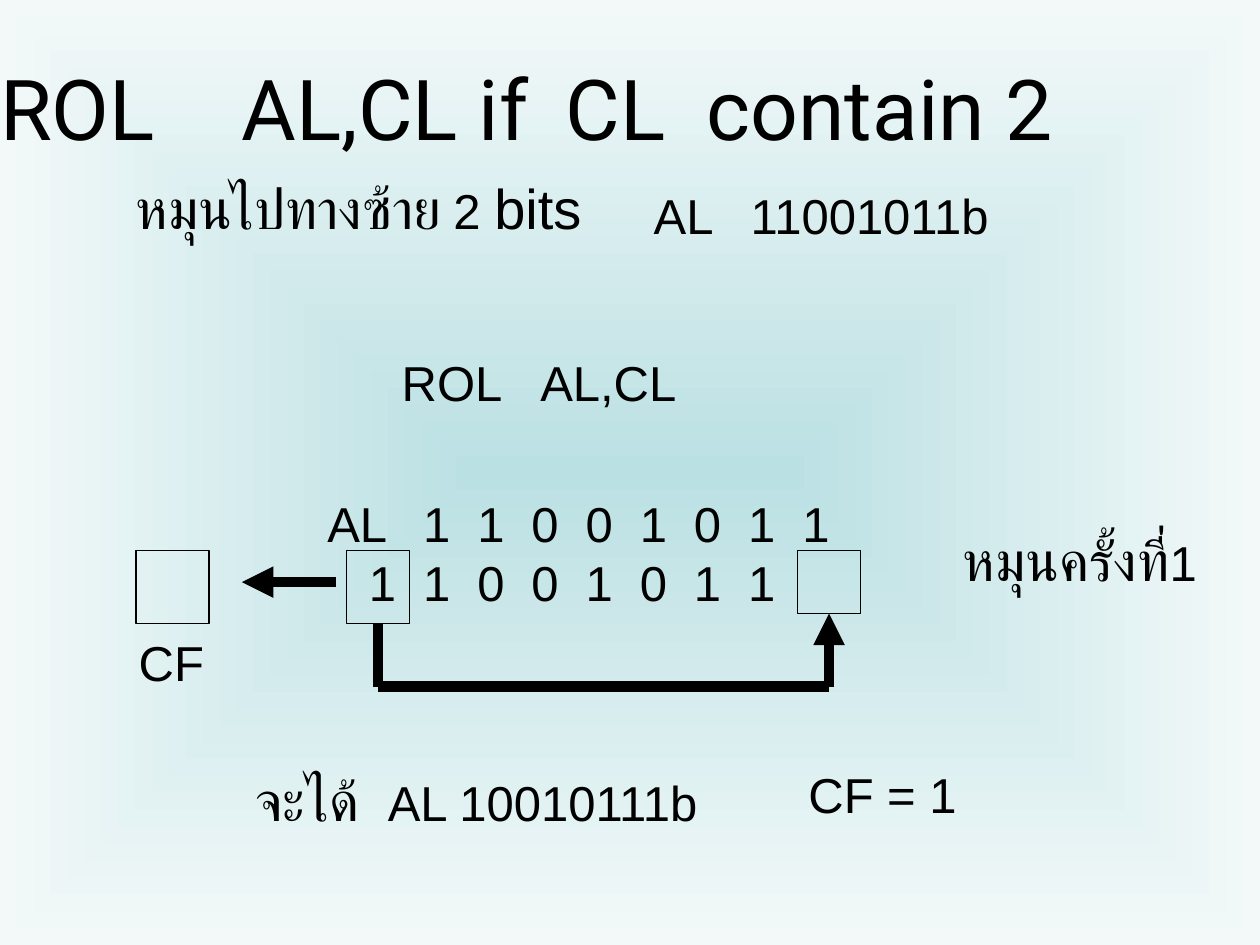
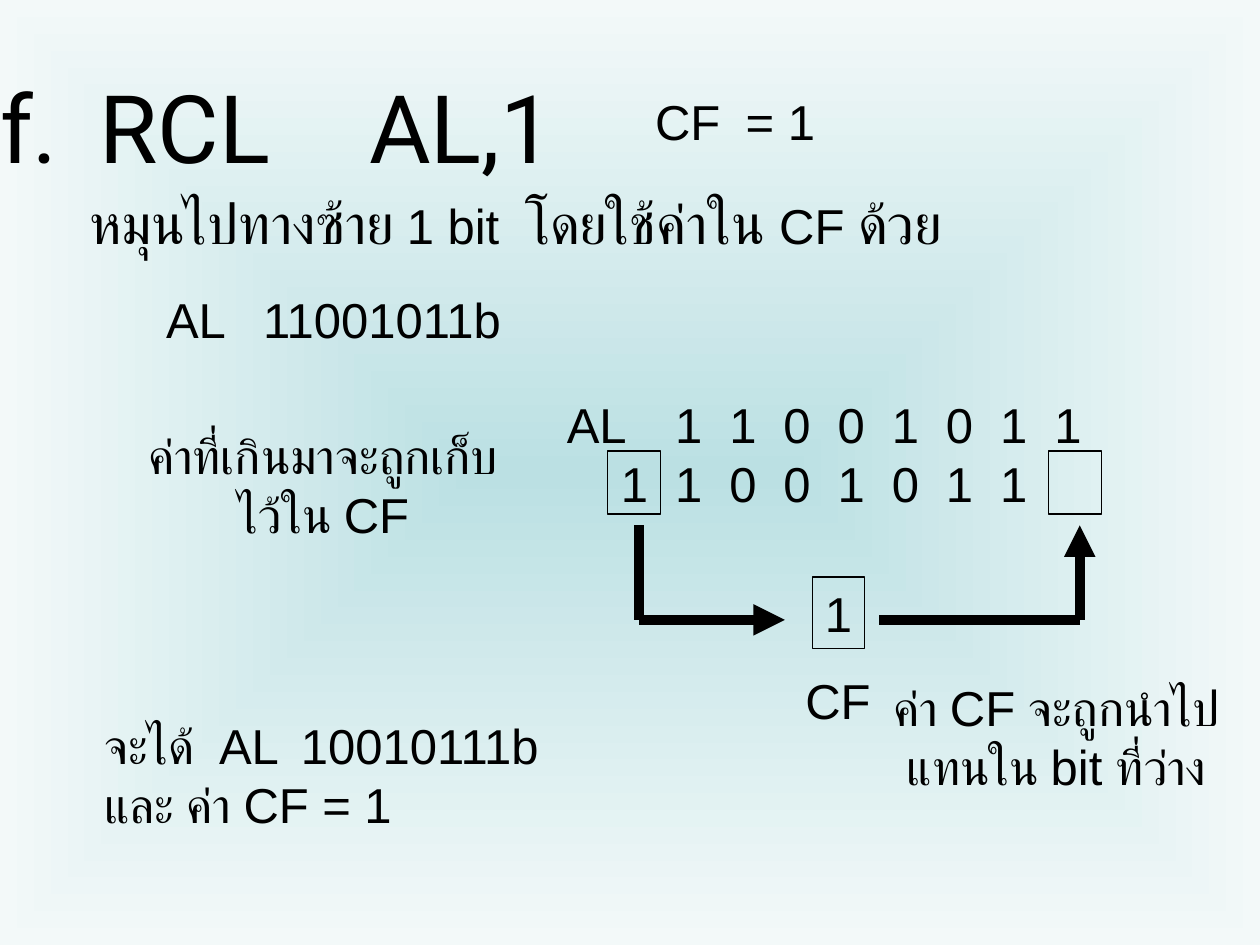
from lxml import etree
from pptx import Presentation
from pptx.dml.color import RGBColor
from pptx.enum.shapes import MSO_CONNECTOR, MSO_SHAPE
from pptx.enum.text import MSO_ANCHOR, MSO_AUTO_SIZE, PP_ALIGN
from pptx.oxml.ns import qn
from pptx.util import Inches, Pt

LEFT, MID = PP_ALIGN.LEFT, PP_ALIGN.CENTER
TOP, FIXED = MSO_ANCHOR.TOP, MSO_AUTO_SIZE.NONE
RECT, LINE = MSO_SHAPE.RECTANGLE, MSO_CONNECTOR.STRAIGHT
HUES = {"ink": "000000", "core": "BBE0E3", "edge": "F3F9F9"}
INK = RGBColor.from_string(HUES["ink"])
PITCH = 0.43


def write(shape, text, size=28, face="Arial", align=LEFT, tabs=()):
    frame = shape.text_frame
    frame.auto_size = FIXED
    frame.vertical_anchor = TOP
    frame.word_wrap = align == LEFT
    if align == LEFT:
        frame.margin_right = 0
    for i, row in enumerate(text):
        para = frame.paragraphs[0] if i == 0 else frame.add_paragraph()
        para.alignment = align
        if tabs:
            stops = etree.SubElement(para._p.get_or_add_pPr(), qn("a:tabLst"))
            for stop in tabs:
                etree.SubElement(stops, qn("a:tab"), pos=str(Inches(stop)), algn="l")
        for part in [(row, size)] if isinstance(row, str) else row:
            run = para.add_run()
            run.text = part[0]
            run.font.size = Pt(part[1])
            run.font.name = face
            run.font.color.rgb = INK


def wire(slide, start, end, tip=False):
    link = slide.shapes.add_connector(LINE, *map(Inches, start + end))
    link.line.color.rgb = INK
    link.line.width = Pt(6)
    if tip:
        etree.SubElement(link.line._get_or_add_ln(), qn("a:tailEnd"), type="triangle")
    etree.SubElement(link._element.spPr, qn("a:effectLst"))
    return link


deck = Presentation()
deck.slide_width, deck.slide_height = Inches(10), Inches(7.5)
master = deck.slide_master
fill = master.background.fill
fill.gradient()
for stop, hue in zip(fill.gradient_stops, ("core", "edge")):
    stop.color.rgb = RGBColor.from_string(HUES[hue])
grad = master.element.find(".//" + qn("a:gradFill"))
grad.remove(grad.find(qn("a:lin")))
path = etree.SubElement(grad, qn("a:path"), path="rect")
etree.SubElement(path, qn("a:fillToRect"), l="50000", t="50000", r="50000", b="50000")

bits = "\t".join("11001011")
rows = [f"AL\t{bits}", f"\t{bits}"]
pages = [
    {
        "title": ("ROL\tAL,CL if\tCL\tcontain 2", 48, (-0.1, 0.4, 8.67, 0.9), (1.92, 4.49, 5.61)),
        "boxes": [(6.33, 4.37, 0.5, 0.5), (2.75, 4.37, 0.5, 0.58), (1.08, 4.37, 0.58, 0.58)],
        "texts": [
            ((5.09, 1.42, 2.94, 0.57), ["AL\t11001011b"], LEFT, [0.77]),
            ((2.5, 3.87, 4.23, 1.04), rows, LEFT, [0.33 + PITCH * i for i in range(9)]),
            ((1, 4.97, 0.72, 0.57), ["CF"], MID, []),
            ((7.54, 4.12, 2.06, 0.64), [[("หมุนครั้งที่", 32), ("1", 28)]], MID, []),
            ((1.93, 6.03, 3.75, 0.64), [[("จะได้", 32), ("\tAL 10010111b", 28)]], LEFT, [1.05]),
            ((6.32, 6.02, 1.37, 0.57), ["CF = 1"], MID, []),
            ((0.98, 1.33, 3.75, 0.64), [[("หมุนไปทางซ้าย", 32), (" 2 ", 28), ("bits", 32)]], LEFT, []),
            ((3.09, 2.75, 2.4, 0.57), ["ROL\tAL,CL"], LEFT, [1.1]),
        ],
        "wires": [
            ((2.67, 4.62), (1.92, 4.62), True),
            ((3, 4.95), (3, 5.45), False),
            ((3, 5.45), (6.58, 5.45), False),
            ((6.58, 5.45), (6.58, 4.87), True),
        ],
    },
    {
        "title": ("f.\tRCL\tAL,1", 54, (-0.1, 0.5, 4.81, 1), (0.79, 2.93)),
        "boxes": [(4.82, 3.58, 0.42, 0.5), (8.32, 3.58, 0.42, 0.5), (6.45, 4.58, 0.41, 0.57)],
        "texts": [
            ((0.61, 1.45, 7.02, 0.64),
             [[("หมุนไปทางซ้าย", 32), (" 1 bit\t", 28), ("โดยใช้ค่าใน ", 32), ("CF ", 28), ("ด้วย", 32)]],
             LEFT, [3.46]),
            ((5.1, 0.68, 1.48, 0.57), ["CF\t= 1"], LEFT, [0.72]),
            ((1.22, 2.25, 2.94, 0.57), ["AL\t11001011b"], LEFT, [0.77]),
            ((4.4, 3.08, 4.34, 1.04), rows, LEFT, [0.43 + PITCH * i for i in range(9)]),
            ((6.29, 5.27, 0.72, 0.57), ["CF"], MID, []),
            ((1.08, 3.33, 2.97, 1.04), ["ค่าที่เกินมาจะถูกเก็บ", "ไว้ใน CF"], MID, []),
            ((6.99, 5.33, 2.79, 1.04), ["ค่า CF จะถูกนำไป", "แทนใน bit ที่ว่าง"], MID, []),
            ((0.73, 5.63, 3.75, 1.04), ["จะได้\tAL\t10010111b", "และ ค่า CF = 1"], LEFT, [0.91, 1.56]),
        ],
        "wires": [
            ((5.07, 4.17), (5.07, 4.92), False),
            ((5.07, 4.92), (6.23, 4.92), True),
            ((6.98, 4.92), (8.57, 4.92), False),
            ((8.57, 4.92), (8.57, 4.17), True),
        ],
    },
]

for page in pages:
    slide = deck.slides.add_slide(deck.slide_layouts[5])
    page["slide"] = slide
    words, size, spot, tabs = page["title"]
    title = slide.shapes.title
    title.left, title.top, title.width, title.height = map(Inches, spot)
    write(title, [words], size=size, face="Roboto", tabs=tabs)
    for spot, text, align, tabs in page["texts"]:
        write(slide.shapes.add_textbox(*map(Inches, spot)), text, align=align, tabs=tabs)
    page["cells"] = []
    for spot in page["boxes"]:
        cell = slide.shapes.add_shape(RECT, *map(Inches, spot))
        cell.shadow.inherit = False
        cell.fill.background()
        cell.line.color.rgb = INK
        cell.line.width = Pt(0.75)
        page["cells"].append(cell)
    page["links"] = [wire(slide, *ends) for ends in page["wires"]]

turn, carry = pages
turn["links"][1].begin_connect(turn["cells"][1], 2)
turn["links"][3].end_connect(turn["cells"][0], 2)
write(carry["cells"][2], ["1"], align=MID)

deck.save("out.pptx")
